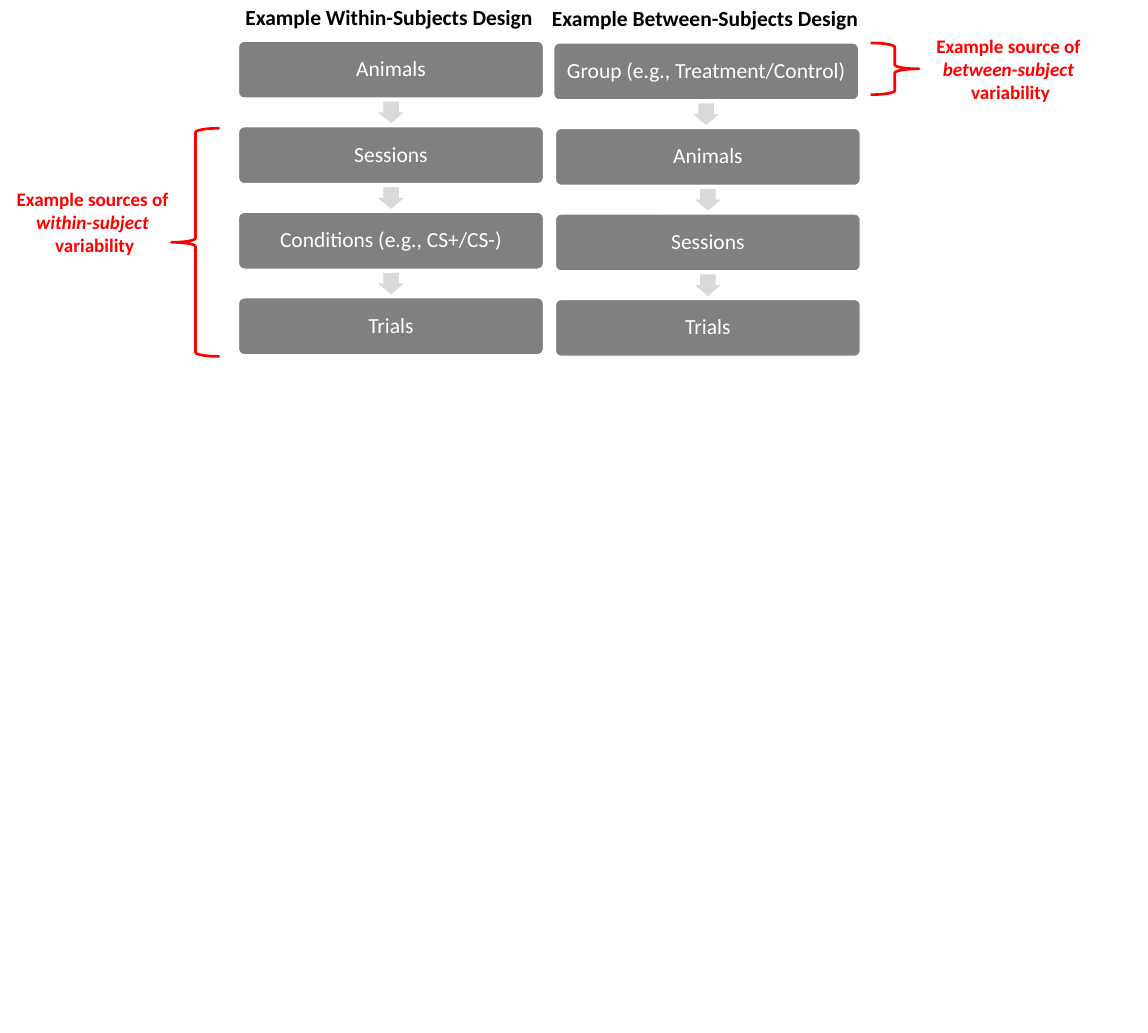
import pptx
import pptx.dml.color
import pptx.enum.shapes
import pptx.enum.text
import pptx.util

PX = 9144
FONT = "Calibri"
WHITE, BLACK, GRAY, LIGHT_GRAY, RED = "FFFFFF", "000000", "808080", "D9D9D9", "FF0000"

BOX_WIDTH, BOX_HEIGHT = 354, 66
COLUMN_SPAN = 298
ARROW_LENGTH, ARROW_WIDTH = 25, 30

DESIGNS = [
    {"heading": "Example Within-Subjects Design", "heading_at": (275, 0, 357, 40), "top": 48,
     "steps": [("Animals", 277), ("Sessions", 277),
               ("Conditions (e.g., CS+/CS-)", 277), ("Trials", 277)]},
    {"heading": "Example Between-Subjects Design", "heading_at": (631, 1, 378, 40), "top": 50,
     "steps": [("Group (e.g., Treatment/Control)", 643), ("Animals", 645),
               ("Sessions", 645), ("Trials", 645)]},
]

SOURCES = [
    {"lines": ["Example source of ", "between-subject ", "variability"],
     "label_at": (1076, 35, 195, 91), "brace_at": (1011, 50, 56, 60), "flipped": True},
    {"lines": ["Example sources of ", "within-subject ", "variability"],
     "label_at": (8, 213, 204, 91), "brace_at": (199, 149, 56, 265), "flipped": False},
]

Shape = pptx.enum.shapes.MSO_SHAPE
Align = pptx.enum.text.PP_ALIGN


def emu(*lengths):
    return [pptx.util.Emu(round(length * PX)) for length in lengths]


def rgb(color):
    return pptx.dml.color.RGBColor.from_string(color)


def add_run(paragraph, text, size, color, bold=False, italic=False):
    run = paragraph.add_run()
    run.text = text
    run.font.name = FONT
    run.font.size = pptx.util.Pt(size)
    run.font.color.rgb = rgb(color)
    run.font.bold = bold
    run.font.italic = italic


def add_shape(slide, kind, place, fill=None, line=None, line_width=1):
    shape = slide.shapes.add_shape(kind, *emu(*place))
    shape.shadow.inherit = False
    if fill:
        shape.fill.solid()
        shape.fill.fore_color.rgb = rgb(fill)
    else:
        shape.fill.background()
    if line:
        shape.line.color.rgb = rgb(line)
        shape.line.width = pptx.util.Pt(line_width)
    else:
        shape.line.fill.background()
    return shape


def add_label(slide, place, lines, size, color, alignment):
    frame = slide.shapes.add_textbox(*emu(*place)).text_frame
    frame.word_wrap = False
    frame.auto_size = pptx.enum.text.MSO_AUTO_SIZE.SHAPE_TO_FIT_TEXT
    for index, text in enumerate(lines):
        paragraph = frame.add_paragraph() if index else frame.paragraphs[0]
        paragraph.alignment = alignment
        add_run(paragraph, text, size, color, bold=True, italic=index == 1)


def add_step(slide, text, left, top):
    box = add_shape(slide, Shape.ROUNDED_RECTANGLE, (left, top, BOX_WIDTH, BOX_HEIGHT), GRAY, WHITE)
    box.adjustments[0] = 0.1
    frame = box.text_frame
    frame.word_wrap = True
    frame.vertical_anchor = pptx.enum.text.MSO_ANCHOR.MIDDLE
    frame.margin_left, frame.margin_top, frame.margin_right, frame.margin_bottom = emu(7, 7, 7, 7)
    paragraph = frame.paragraphs[0]
    paragraph.alignment = Align.CENTER
    paragraph.line_spacing = 0.9
    add_run(paragraph, text, 18, WHITE)


def add_arrow(slide, center_x, center_y):
    place = (center_x - ARROW_LENGTH / 2, center_y - ARROW_WIDTH / 2, ARROW_LENGTH, ARROW_WIDTH)
    arrow = add_shape(slide, Shape.RIGHT_ARROW, place, LIGHT_GRAY)
    arrow.adjustments[0] = 0.6
    arrow.adjustments[1] = 0.5
    arrow.rotation = 90


def add_design(slide, design):
    steps = design["steps"]
    pitch = COLUMN_SPAN / (len(steps) - 1)
    for index, (text, left) in enumerate(steps):
        top = design["top"] + index * pitch
        add_step(slide, text, left, top)
        if index < len(steps) - 1:
            add_arrow(slide, left + BOX_WIDTH / 2, top + (BOX_HEIGHT + pitch) / 2)
    add_label(slide, design["heading_at"], [design["heading"]], 18, BLACK, Align.LEFT)


def add_source(slide, source):
    brace = add_shape(slide, Shape.LEFT_BRACE, source["brace_at"], line=RED, line_width=2.25)
    if source["flipped"]:
        brace.element.spPr.xfrm.set("flipH", "1")
    add_label(slide, source["label_at"], source["lines"], 16, RED, Align.CENTER)


def main():
    presentation = pptx.Presentation()
    presentation.slide_width, presentation.slide_height = emu(1333, 1200)
    slide = presentation.slides.add_slide(presentation.slide_layouts[6])
    for design in DESIGNS:
        add_design(slide, design)
    for source in SOURCES:
        add_source(slide, source)
    presentation.save("out.pptx")


if __name__ == "__main__":
    main()
